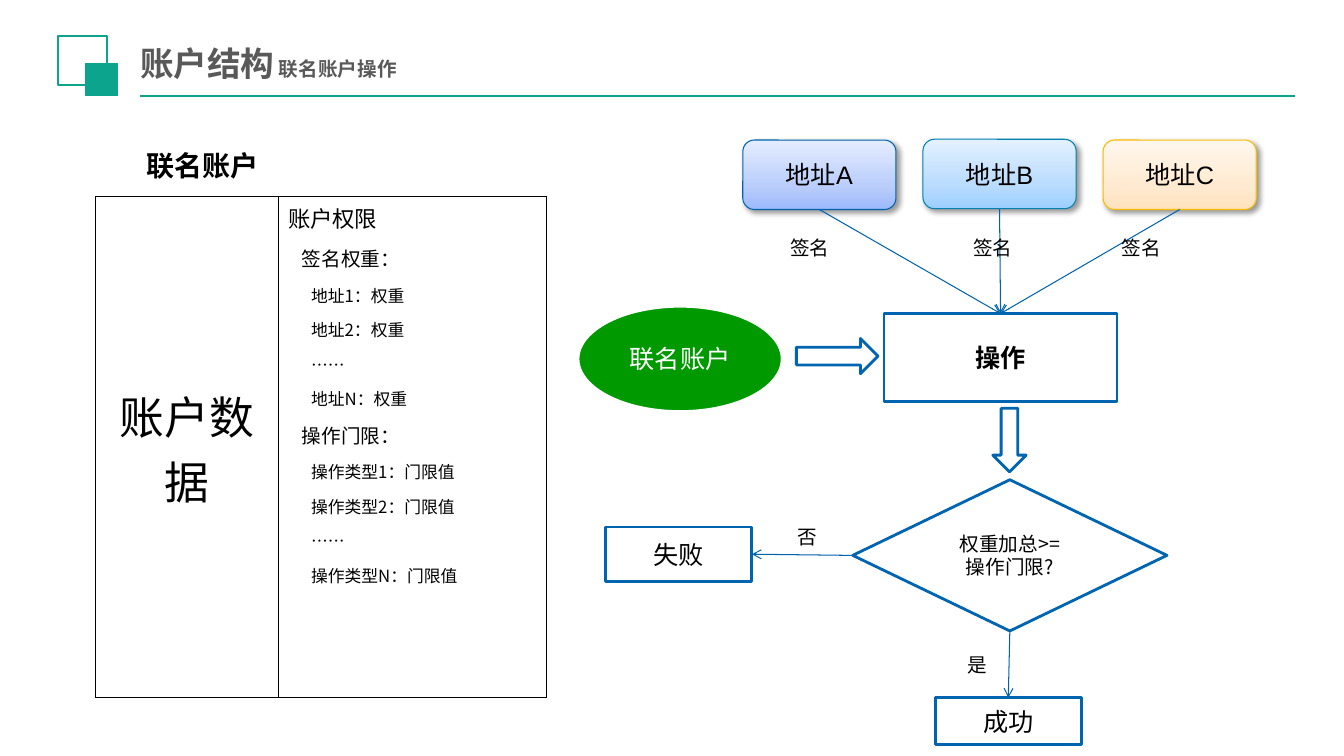
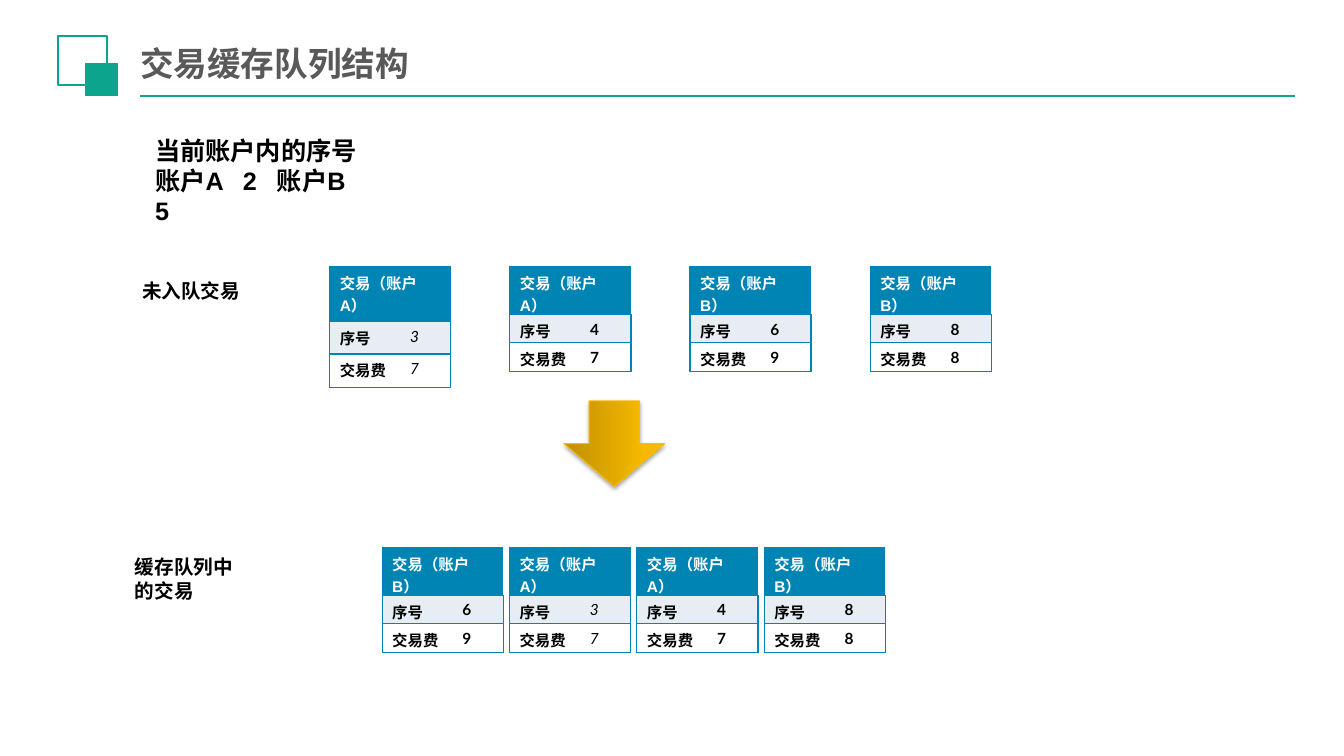
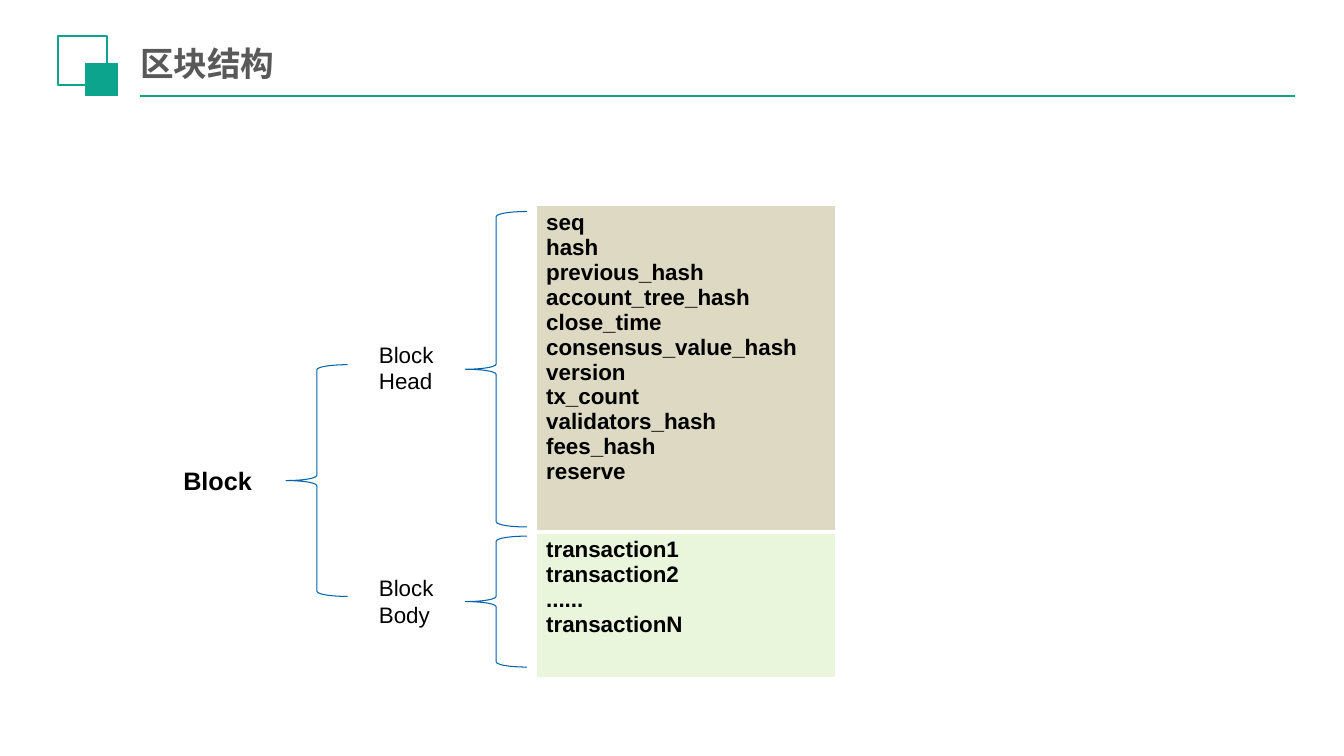
from copy import deepcopy
from dataclasses import dataclass

from lxml.etree import SubElement
from pptx import Presentation
from pptx.dml.color import RGBColor
from pptx.enum.shapes import MSO_CONNECTOR, MSO_SHAPE
from pptx.enum.text import MSO_ANCHOR, PP_ALIGN
from pptx.oxml.ns import qn
from pptx.util import Cm, Pt


@dataclass(frozen=True)
class Theme:
    teal: str = "0CA48D"
    gray: str = "595959"
    black: str = "000000"
    white: str = "FFFFFF"
    navy: str = "0063AC"
    blue: str = "0065B0"
    sea: str = "0084B4"
    sky: str = "0081B0"
    gold: str = "F9BC00"
    green: str = "009900"
    pale: str = "E7EDF2"
    sand: str = "DDD9C3"
    lime: str = "E9F6DC"
    cool: tuple = ((0, "9DB9FC"), (0.35, "BBCEFB"), (1, "E4ECFF"))
    fresh: tuple = ((0, "9CCFFF"), (0.35, "BADCFD"), (1, "E4F1FF"))
    warm: tuple = ((0, "FFE2BD"), (0.35, "FFEAD1"), (1, "FFF7EE"))
    amber: tuple = ((0, "BE8F00"), (0.8, "F7BA00"), (1, "F8BB00"))
    huge: int = 32
    title: int = 24
    large: int = 20
    main: int = 18
    mid: int = 16
    note: int = 14
    small: int = 12
    tiny: int = 11
    han: str = "Noto Sans CJK SC"
    sans: str = "Arial"
    serif: str = "Cambria"
    lato: str = "Lato"
    plain: str = "{2D5ABB26-0587-4C30-8999-92F81FD0307C}"


T = Theme()
MID = PP_ALIGN.CENTER


def hue(code):
    return RGBColor.from_string(code)


def box(*sides):
    return [Cm(side) for side in sides]


def say(par, text, size=T.main, font=T.han, ink=T.black, bold=False,
        slant=False, align=PP_ALIGN.LEFT):
    par.alignment = align
    run = par.add_run()
    run.text = text
    run.font.size = Pt(size)
    run.font.name = font
    run.font.bold = bold
    run.font.italic = slant
    run.font.color.rgb = hue(ink)
    SubElement(run.font._element, qn("a:ea"), typeface=T.han)


def write(frame, text, **style):
    for num, line in enumerate(text.split("\n")):
        par = frame.add_paragraph() if num else frame.paragraphs[0]
        say(par, line, **style)


def label(slide, text, place, wrap=True, **style):
    frame = slide.shapes.add_textbox(*box(*place)).text_frame
    frame.word_wrap = wrap
    write(frame, text, **style)
    return frame


def blend(shape, stops):
    shape.fill.gradient()
    shape.fill.gradient_angle = 90
    group = shape.element.spPr.find(qn("a:gradFill")).find(qn("a:gsLst"))
    group.append(deepcopy(group[-1]))
    for stop, (spot, code) in zip(shape.fill.gradient_stops, stops):
        stop.position = spot
        stop.color.rgb = hue(code)


def shade(shape, alpha, blur, far, angle):
    group = shape.element.spPr.find(qn("a:effectLst"))
    cast = SubElement(group, qn("a:outerShdw"), blurRad=str(Pt(blur)),
                      dist=str(Pt(far)), dir=str(angle * 60000), rotWithShape="0")
    tint = SubElement(cast, qn("a:srgbClr"), val=T.black)
    SubElement(tint, qn("a:alpha"), val=str(alpha * 1000))


def form(slide, kind, place, fill=T.white, edge=T.blue, wide=2, text="", **style):
    shape = slide.shapes.add_shape(kind, *box(*place))
    shape.shadow.inherit = False
    if isinstance(fill, tuple):
        blend(shape, fill)
    elif fill:
        shape.fill.solid()
        shape.fill.fore_color.rgb = hue(fill)
    else:
        shape.fill.background()
    shape.line.color.rgb = hue(edge)
    shape.line.width = Pt(wide)
    if text:
        shape.text_frame.vertical_anchor = MSO_ANCHOR.MIDDLE
        write(shape.text_frame, text, align=MID, **style)
    return shape


def line(slide, ends, ink, wide):
    link = slide.shapes.add_connector(MSO_CONNECTOR.STRAIGHT, *box(*ends))
    link.line.color.rgb = hue(ink)
    link.line.width = Pt(wide)
    SubElement(link.element.spPr, qn("a:effectLst"))
    return link


def join(slide, start, out, end, into):
    link = line(slide, (0, 0, 1, 1), T.navy, 0.75)
    link.begin_connect(start, out)
    link.end_connect(end, into)
    SubElement(link.line._ln, qn("a:tailEnd"), type="arrow")


def grid(slide, left, top, cols, rows):
    frame = slide.shapes.add_table(len(rows), len(cols),
                                   *box(left, top, sum(cols), sum(rows)))
    table = frame.table
    table.first_row = table.horz_banding = False
    table._tbl.tblPr.find(qn("a:tableStyleId")).text = T.plain
    for col, width in zip(table.columns, cols):
        col.width = Cm(width)
    for row, height in zip(table.rows, rows):
        row.height = Cm(height)
    return table


def paint(cell, fill):
    cell.fill.solid()
    cell.fill.fore_color.rgb = hue(fill)


def rim(cell, ink, sides="LRTB", wide=1):
    props = cell._tc.get_or_add_tcPr()
    for num, side in enumerate(sides):
        edge = SubElement(props, qn("a:ln" + side), w=str(Pt(wide)))
        SubElement(SubElement(edge, qn("a:solidFill")), qn("a:srgbClr"), val=ink)
        props.insert(num, edge)


def adorn(layout, slide):
    for item in list(layout.placeholders)[1:]:
        item.element.getparent().remove(item.element)
    frame = layout.placeholders[0].text_frame
    frame.vertical_anchor = MSO_ANCHOR.MIDDLE
    frame.margin_left = frame.margin_right = Cm(0.18)
    frame.margin_top = frame.margin_bottom = Cm(0.1)
    parts = [
        line(slide, (3.53, 2.41, 32.64, 2.41), T.teal, 1.25),
        form(slide, MSO_SHAPE.RECTANGLE, (1.47, 0.91, 1.22, 1.24),
             edge=T.teal, wide=1.5),
        form(slide, MSO_SHAPE.RECTANGLE, (2.16, 1.6, 0.79, 0.79),
             fill=T.teal, edge=T.teal, wide=0.25),
    ]
    for part in parts:
        layout.element.cSld.spTree.append(part.element)


def head(slide, text, sub="", width=7.62):
    title = slide.shapes.title
    title.left, title.top, title.width, title.height = box(3.35, 0.99, width, 1.22)
    par = title.text_frame.paragraphs[0]
    say(par, text, size=T.title, ink=T.gray, bold=True)
    if sub:
        say(par, " " + sub, size=T.note, ink=T.gray, bold=True)


def rights(slide):
    levels = ((T.mid, 0.25), (T.note, 0.6), (T.small, 0.83))
    lines = (
        (0, 0.94, "账户权限"), (1, 0.81, "签名权重："),
        (2, 0.79, "地址1：权重"), (2, 0.79, "地址2：权重"),
        (2, 0.79, "……"), (2, 0.79, "地址N：权重"),
        (1, 0.86, "操作门限："),
        (2, 0.79, "操作类型1：门限值"), (2, 0.79, "操作类型2：门限值"),
        (2, 0.79, "……"), (2, 0.79, "操作类型N：门限值"),
    )
    table = grid(slide, 2.41, 4.95, (4.6, 6.76), [high for _, high, _ in lines])
    last = len(lines) - 1
    side = table.cell(0, 0)
    side.merge(table.cell(last, 0))
    side.vertical_anchor = MSO_ANCHOR.MIDDLE
    side._tc.get_or_add_tcPr().set("vert", "eaVert")
    write(side.text_frame, "账户数据", size=T.huge, align=MID)
    for num, (level, _, text) in enumerate(lines):
        size, inset = levels[level]
        cell = table.cell(num, 1)
        cell.margin_left = Cm(inset)
        write(cell.text_frame, text, size=size)
        ends = {0: "T", last: "B"}.get(num, "")
        rim(cell, T.black, "LR" + ends)
        rim(table.cell(num, 0), T.black, "LRTB" if num == 0 else "LR" + ends)


def joint(slide):
    head(slide, "账户结构", "联名账户操作", 21.84)
    rights(slide)
    label(slide, "联名账户", (3.45, 3.63, 3.86, 1.12), size=T.large, bold=True)
    rect = MSO_SHAPE.RECTANGLE
    task = form(slide, rect, (22.28, 7.9, 5.87, 2.21), text="操作", bold=True)
    form(slide, MSO_SHAPE.OVAL, (14.55, 7.7, 5.18, 2.69), fill=T.green,
         edge=T.white, wide=3, text="联名账户", font=T.sans, ink=T.white)
    form(slide, MSO_SHAPE.RIGHT_ARROW, (20.07, 8.53, 2.06, 0.89))
    form(slide, MSO_SHAPE.DOWN_ARROW, (25.02, 10.29, 0.84, 1.6))
    test = form(slide, MSO_SHAPE.DIAMOND, (21.49, 12.09, 7.92, 3.81),
                text="权重加总>=\n操作门限?", size=T.note)
    fail = form(slide, rect, (15.27, 13.28, 3.68, 1.37), text="失败")
    done = form(slide, rect, (23.57, 17.58, 3.68, 1.19), text="成功", font=T.sans)
    keys = (("A", 3.53, T.cool, T.navy), ("B", 3.51, T.fresh, T.sky),
            ("C", 3.53, T.warm, T.gold))
    for num, (name, top, fill, edge) in enumerate(keys):
        key = form(slide, MSO_SHAPE.ROUNDED_RECTANGLE,
                   (18.72 + 4.54 * num, top, 3.86, 1.75), fill=fill, edge=edge,
                   wide=0.75, text="地址" + name, font=T.sans)
        shade(key, 40, 4, 3, 45)
        join(slide, key, 2, task, 0)
    join(slide, test, 1, fail, 3)
    join(slide, test, 2, done, 0)
    for left in (19.66, 24.28, 28.02):
        label(slide, "签名", (left, 5.83, 2.87, 0.86), size=T.note)
    label(slide, "否", (19.86, 13.11, 1.35, 0.89), size=T.note, font=T.serif)
    label(slide, "是", (24.13, 16.33, 1.6, 0.86), size=T.note, font=T.serif)


def trade(slide, left, top, name, order, fee, slant=False, loose=False):
    rows = (1.4, 0.81, 0.84) if loose else (1.22, 0.71, 0.73)
    table = grid(slide, left, top, (1.77, 1.28), rows)
    table.cell(0, 0).merge(table.cell(0, 1))
    write(table.cell(0, 0).text_frame, f"交易（账户{name}）", size=T.tiny,
          font=T.sans, ink=T.white, bold=True)
    for num, (text, value) in enumerate((("序号", order), ("交易费", fee)), 1):
        write(table.cell(num, 0).text_frame, text, size=T.tiny, font=T.lato, bold=True)
        write(table.cell(num, 1).text_frame, str(value), size=T.tiny,
              font=T.lato, bold=not slant, slant=slant)
    for num, fill in enumerate((T.sea, T.pale, T.white)):
        for col, sides in enumerate(("LTB", "RTB")):
            cell = table.cell(num, col)
            cell.margin_bottom = Cm(0.13 if loose else 0)
            paint(cell, fill)
            rim(cell, T.sea, sides)


def queue(slide):
    head(slide, "交易缓存队列结构")
    frame = label(slide, "当前账户内的序号\n账户A\t2\t账户B\n5",
                  (3.66, 3.28, 5.89, 1.8), font=T.sans, bold=True)
    tabs = SubElement(frame.paragraphs[1]._p.get_or_add_pPr(), qn("a:tabLst"))
    for spot in (2.21, 3.07):
        SubElement(tabs, qn("a:tab"), pos=str(Cm(spot)), algn="l")
    label(slide, "未入队交易", (3.33, 6.91, 3.05, 0.86),
          size=T.note, font=T.sans, bold=True)
    label(slide, "缓存队列中的交易", (3.15, 13.87, 3.05, 1.45),
          size=T.note, font=T.sans, bold=True)
    first, *rest = (("A", 3, 7, True), ("A", 4, 7), ("B", 6, 9), ("B", 8, 8))
    trade(slide, 8.31, 6.71, *first, loose=True)
    for num, deal in enumerate(rest, 1):
        trade(slide, 8.31 + 4.54 * num, 6.71, *deal)
    for num, deal in enumerate((rest[1], first, rest[0], rest[2])):
        trade(slide, 9.63 + 3.21 * num, 13.79, *deal)
    arrow = form(slide, MSO_SHAPE.RIGHT_ARROW, (14.4, 9.91, 2.16, 2.54),
                 fill=T.amber, edge=T.gold, wide=0.75)
    arrow.rotation = 90
    shade(arrow, 35, 3.1, 1.8, 90)


def block(slide):
    head(slide, "区块结构")
    table = grid(slide, 13.51, 5.18, (7.54,), (8.23, 3.66))
    parts = (
        ("seq\nhash\nprevious_hash\naccount_tree_hash\nclose_time\n"
         "consensus_value_hash\nversion\ntx_count\nvalidators_hash\n"
         "fees_hash\nreserve", T.sand),
        ("transaction1\ntransaction2\n......\ntransactionN", T.lime),
    )
    for num, (text, fill) in enumerate(parts):
        cell = table.cell(num, 0)
        write(cell.text_frame, text, size=T.mid, font=T.sans, bold=True)
        paint(cell, fill)
        rim(cell, T.white, "LR")
    rim(table.cell(0, 0), T.white, "B", 3)
    for place in ((11.73, 5.33, 1.55, 7.95), (11.73, 13.51, 1.55, 3.3),
                  (7.21, 9.19, 1.55, 5.84)):
        form(slide, MSO_SHAPE.LEFT_BRACE, place, fill=None, edge=T.navy, wide=0.75)
    for text, top in (("Block\nHead", 8.46), ("Block\nBody", 14.35)):
        label(slide, text, (9.3, top, 1.88, 1.63), wrap=False, size=T.mid, font=T.sans)
    label(slide, "Block", (4.37, 11.61, 2.24, 1.02), wrap=False,
          font=T.sans, bold=True)


def main():
    deck = Presentation()
    deck.slide_width, deck.slide_height = box(33.87, 19.05)
    layout = deck.slide_layouts[5]
    slides = [deck.slides.add_slide(layout) for _ in range(3)]
    adorn(layout, slides[0])
    for build, slide in zip((joint, queue, block), slides):
        build(slide)
    deck.save("out.pptx")


main()
